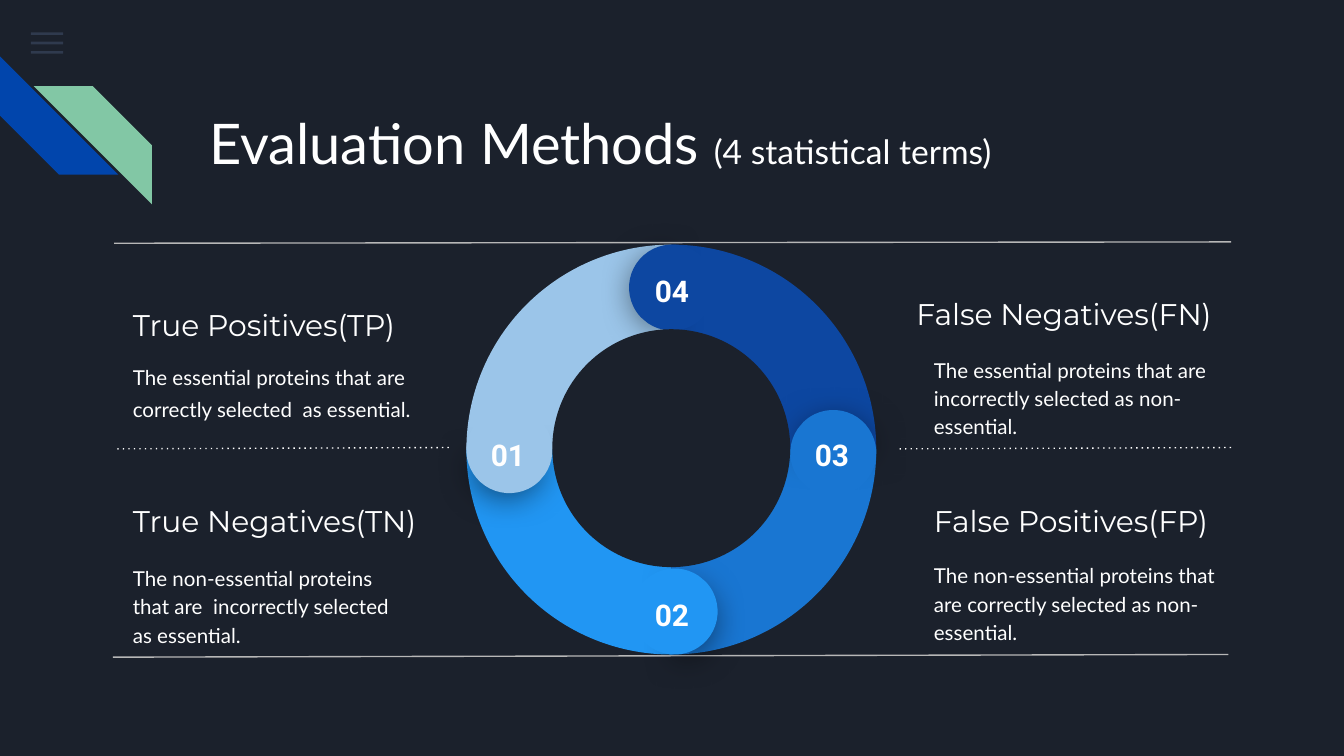
"""Build the Evaluation Methods slide: a four-part ring with its terms."""
from lxml import etree
from pptx import Presentation
from pptx.dml.color import RGBColor
from pptx.enum.dml import MSO_LINE
from pptx.enum.shapes import MSO_CONNECTOR, MSO_SHAPE
from pptx.enum.text import MSO_ANCHOR, PP_ALIGN
from pptx.oxml.ns import qn
from pptx.util import Inches, Pt

RECT, STRIPE = MSO_SHAPE.RECTANGLE, MSO_SHAPE.DIAGONAL_STRIPE
PIE, CHORD, OVAL = MSO_SHAPE.PIE, MSO_SHAPE.CHORD, MSO_SHAPE.OVAL
STRAIGHT, DOT = MSO_CONNECTOR.STRAIGHT, MSO_LINE.ROUND_DOT
TOP, MIDDLE = MSO_ANCHOR.TOP, MSO_ANCHOR.MIDDLE
LEFT, CENTER = PP_ALIGN.LEFT, PP_ALIGN.CENTER

NIGHT = RGBColor(0x1B, 0x21, 0x2C)
WHITE = RGBColor(0xFF, 0xFF, 0xFF)
GREY = RGBColor(0xB7, 0xB7, 0xB7)
SLATE = RGBColor(0x55, 0x68, 0x8B)
COBALT = RGBColor(0x01, 0x45, 0xAC)
GREEN = RGBColor(0x82, 0xC7, 0xA5)
PALE = RGBColor(0x9B, 0xC5, 0xE9)
NAVY = RGBColor(0x0D, 0x47, 0xA1)
BLUE = RGBColor(0x19, 0x76, 0xD2)
SKY = RGBColor(0x21, 0x96, 0xF3)

TITLE = [("Evaluation Methods ", 30), ("(4 statistical terms)", 18)]
HEADS = [
    ("True Positives(TP)", 0.89, 2.17, 2.29),
    ("True Negatives(TN)", 0.89, 3.63, 2.38),
    ("False Negatives(FN)", 6.72, 2.09, 2.49),
    ("False Positives(FP)", 6.85, 3.63, 2.29),
]
NOTES = [
    ("The essential proteins that are correctly selected  as essential.",
     (0.89, 2.57, 2.49, 0.66), 1.3, 0),
    ("The non-essential proteins that are  incorrectly selected as essential.",
     (0.89, 4.12, 2.18, 0.76), 1.15, 16),
    ("The essential proteins that are incorrectly selected as non- essential.",
     (6.85, 2.57, 2.49, 0.76), 1.15, 16),
    ("The non-essential proteins that are correctly selected as non-essential.",
     (6.85, 4.1, 2.38, 0.76), 1.15, 16),
]
RULES = [
    (9.16, 1.8, 0.85, 1.81, GREY, False),
    (3.34, 3.33, 0.85, 3.34, WHITE, True),
    (9.16, 3.33, 6.67, 3.34, WHITE, True),
    (9.14, 4.87, 0.84, 4.89, GREY, False),
]
RING = [PALE, NAVY, BLUE, SKY]
WIDE, SLIM = (189.54, 83.81), (196.87, 77.71)
CAPS = [
    ("01", PALE, (3.48, 3.07), (3.47, 3.03), (3.5, 3.15), WIDE),
    ("02", SKY, (4.74, 4.28), (4.7, 4.23), (4.72, 4.34), WIDE),
    ("03", BLUE, (5.93, 3.07), (5.88, 3.05), (5.91, 3.15), SLIM),
    ("04", NAVY, (4.7, 1.83), (4.68, 1.82), (4.72, 1.93), WIDE),
]

deck = Presentation()
deck.slide_width, deck.slide_height = Inches(10), Inches(10 * 9 / 16)
slide = deck.slides.add_slide(deck.slide_layouts[6])
slide.background.fill.solid()
slide.background.fill.fore_color.rgb = NIGHT


def draw(kind, box, color, turn=0, adjust=()):
    shape = slide.shapes.add_shape(kind, *map(Inches, box))
    shape.shadow.inherit = False
    shape.fill.solid()
    shape.fill.fore_color.rgb = color
    shape.line.fill.background()
    shape.rotation = turn
    for i, value in enumerate(adjust):
        shape.adjustments[i] = value
    return shape


def fade(color, share):
    etree.SubElement(color, qn("a:alpha"), val=str(share * 1000))


def shade(shape):
    effects = shape.element.spPr.find(qn("a:effectLst"))
    outer = etree.SubElement(
        effects, qn("a:outerShdw"), blurRad=str(Pt(18)), dist=str(Pt(4)),
        dir="5400000", algn="bl", rotWithShape="0")
    fade(etree.SubElement(outer, qn("a:srgbClr"), val="000000"), 55)


def write(runs, box, font, anchor=TOP, align=LEFT, bold=False):
    frame = slide.shapes.add_textbox(*map(Inches, box)).text_frame
    frame.word_wrap = True
    frame.vertical_anchor = anchor
    frame.margin_left = frame.margin_right = Inches(0.1)
    frame.margin_top = frame.margin_bottom = Inches(0.1)
    para = frame.paragraphs[0]
    para.alignment = align
    para.font.name, para.font.bold = font, bold
    para.font.color.rgb = WHITE
    for text, size in runs:
        run = para.add_run()
        run.text = text
        run.font.size = Pt(size)
    return para


def rule(x1, y1, x2, y2, color, dotted):
    line = slide.shapes.add_connector(STRAIGHT, *map(Inches, (x1, y1, x2, y2)))
    line.line.color.rgb = color
    line.line.width = Pt(0.75)
    props = line.element.spPr
    if dotted:
        line.line.dash_style = DOT
        props.find(".//" + qn("a:prstDash")).set("val", "dot")
    etree.SubElement(props, qn("a:effectLst"))


for i in range(3):
    bar = draw(RECT, (0.23, 0.24 + 0.07 * i, 0.24, 0.02), SLATE)
    fade(bar.element.spPr.find(".//" + qn("a:srgbClr")), 36)
draw(STRIPE, (0, 0.42, 0.88, 0.88), COBALT, 270, [0.5])
stripe = draw(STRIPE, (0.25, 0.64, 0.88, 0.88), GREEN, 0, [0.5])
stripe.element.spPr.get_or_add_xfrm().set("flipH", "1")

write(TITLE, (1.46, 0.71, 7.7, 0.81), "Lato")
for text, x, y, width in HEADS:
    write([(text, 16)], (x, y, width, 0.49), "Montserrat", MIDDLE)
for text, box, spacing, after in NOTES:
    para = write([(text, 11)], box, "Lato", MIDDLE)
    para.line_spacing = spacing
    para.space_after = Pt(after)
for item in RULES:
    rule(*item)

for i, color in enumerate(RING):
    draw(PIE, (3.47, 1.82, 3.05, 3.05), color, 90 * i, (107.96, 162.01))
for label, color, tip, disc, spot, arc in CAPS:
    turn = 90 * RING.index(color)
    shade(draw(PIE, (*tip, 0.57, 0.57), color, turn + 39.5, arc))
    draw(CHORD, (*disc, 0.64, 0.64), color, turn + 4.1, (25.01, 18.12))
    write([(label, 16)], (*spot, 0.56, 0.29), "Roboto", TOP, CENTER, True)
draw(OVAL, (4.11, 2.45, 1.77, 1.77), NIGHT)

deck.save("out.pptx")
